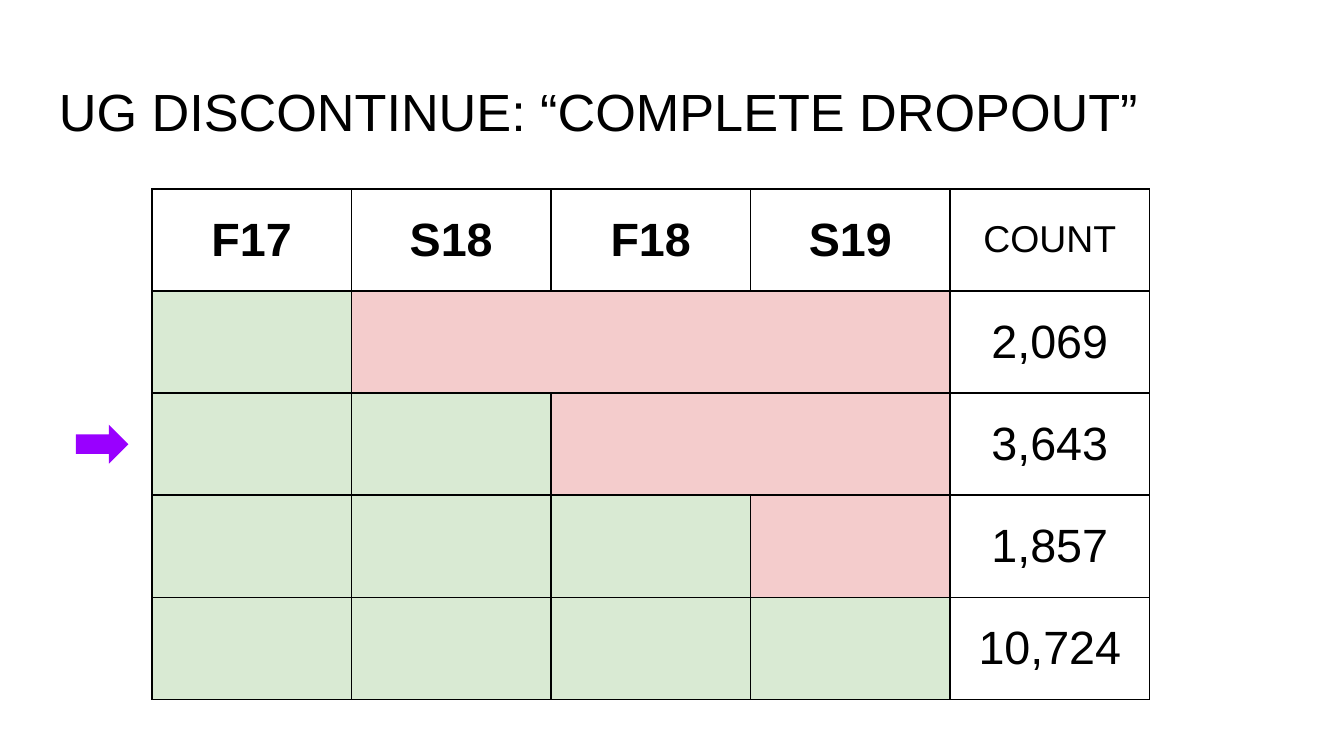
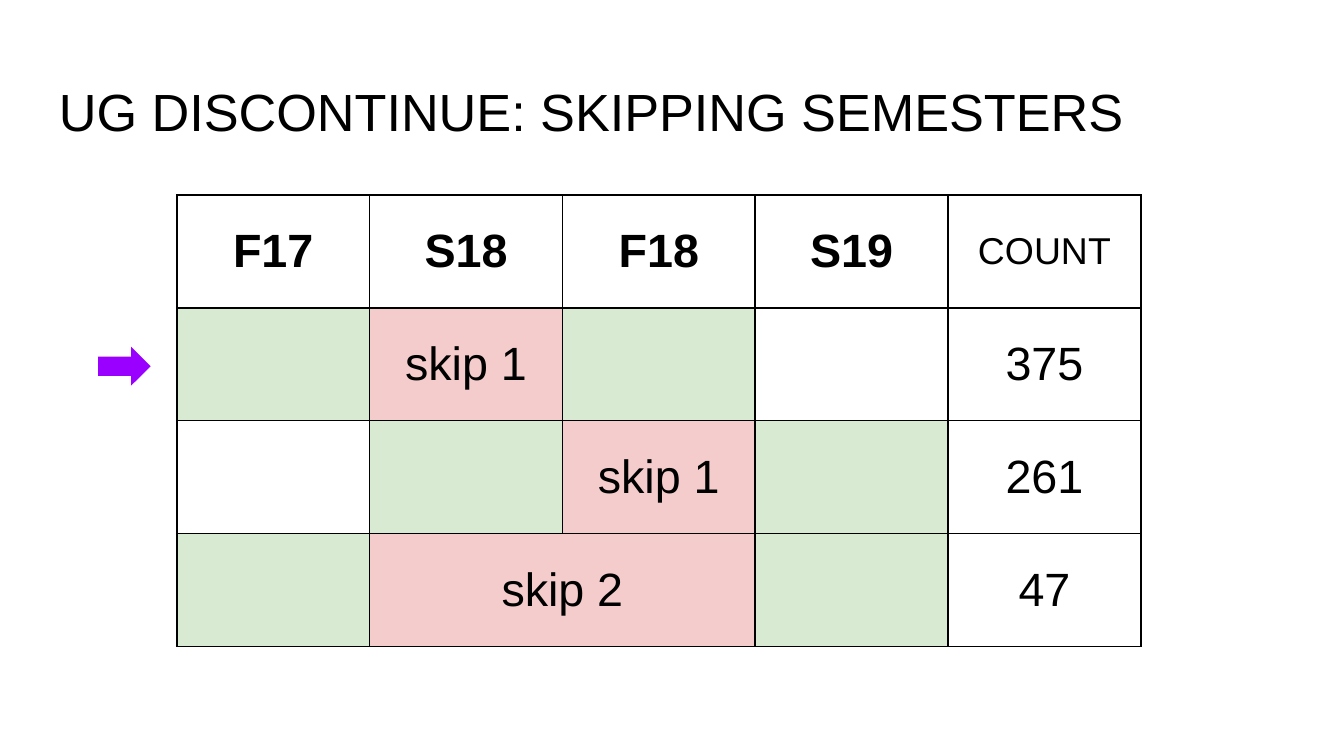
from itertools import groupby

from lxml import etree
from pptx import Presentation
from pptx import util as u
from pptx.dml.color import RGBColor
from pptx.enum import shapes, text
from pptx.oxml.ns import qn

PX = 4572  # 200 px to the inch
FONT = "Arial"
COLORS = {"ink": "000000", "enrolled": "D9EAD3", "away": "F4CCCC", "marker": "9900FF"}
STATUS = {"E": "enrolled", "A": "away"}  # "-" leaves a cell unfilled
SEMESTERS = ["F17", "S18", "F18", "S19"]

# Each row: status per semester, label of the away block, count
SLIDES = [
    {
        "title": "UG DISCONTINUE: “COMPLETE DROPOUT”",
        "table_at": (226, 281), "cell": (297, 152), "marker_at": (123, 622),
        "rows": [("EAAA", "", "2,069"), ("EEAA", "", "3,643"),
                 ("EEEA", "", "1,857"), ("EEEE", "", "10,724")],
    },
    {
        "title": "UG DISCONTINUE: SKIPPING SEMESTERS",
        "table_at": (263, 290), "cell": (287, 168), "marker_at": (156, 506),
        "rows": [("EAE-", "skip 1", "375"), ("-EAE", "skip 1", "261"),
                 ("EAAE", "skip 2", "47")],
    },
]


def write(frame, words, size, bold=False, align=text.PP_ALIGN.CENTER):
    frame.text = words
    line = frame.paragraphs[0]
    line.alignment = align
    for run in line.runs:
        run.font.name = FONT
        run.font.size = u.Pt(size)
        run.font.bold = bold
        run.font.color.rgb = RGBColor.from_string(COLORS["ink"])


def outline(cell):
    props = cell._tc.get_or_add_tcPr()
    for position, side in enumerate(("lnL", "lnR", "lnT", "lnB")):
        edge = etree.Element(qn("a:" + side), w=str(u.Pt(1)))
        fill = etree.SubElement(edge, qn("a:solidFill"))
        etree.SubElement(fill, qn("a:srgbClr"), val=COLORS["ink"])
        props.insert(position, edge)


deck = Presentation()
deck.slide_width, deck.slide_height = 2000 * PX, 1125 * PX

for content in SLIDES:
    slide = deck.slides.add_slide(deck.slide_layouts[6])

    # Title
    title = slide.shapes.add_textbox(68 * PX, 98 * PX, 1864 * PX, 126 * PX).text_frame
    title.word_wrap = True
    title.margin_left = title.margin_right = 20 * PX
    title.margin_top = title.margin_bottom = 20 * PX
    write(title, content["title"], 28, align=text.PP_ALIGN.LEFT)

    # Enrolment grid
    left, top = content["table_at"]
    width, height = content["cell"]
    rows = content["rows"]
    n_rows, n_cols = len(rows) + 1, len(SEMESTERS) + 1
    grid = slide.shapes.add_table(n_rows, n_cols, left * PX, top * PX,
                                  n_cols * width * PX, n_rows * height * PX).table
    grid.first_row = grid.horz_banding = False
    for cell in grid.iter_cells():
        cell.fill.background()
        cell.vertical_anchor = text.MSO_ANCHOR.MIDDLE
        cell.margin_left = cell.margin_right = 14 * PX
        cell.margin_top = cell.margin_bottom = 14 * PX
        outline(cell)

    # Header row
    for col, semester in enumerate(SEMESTERS):
        write(grid.cell(0, col).text_frame, semester, 25, bold=True)
    write(grid.cell(0, n_cols - 1).text_frame, "COUNT", 20)

    # Status cells, with neighbouring away semesters merged
    for row, (statuses, label, count) in enumerate(rows, start=1):
        for status, block in groupby(range(len(statuses)), key=lambda i: statuses[i]):
            cols = list(block)
            if status in STATUS:
                for col in cols:
                    fill = grid.cell(row, col).fill
                    fill.solid()
                    fill.fore_color.rgb = RGBColor.from_string(COLORS[STATUS[status]])
            if status == "A":
                first = grid.cell(row, cols[0])
                if len(cols) > 1:
                    first.merge(grid.cell(row, cols[-1]))
                if label:
                    write(first.text_frame, label, 25)
        write(grid.cell(row, n_cols - 1).text_frame, count, 25)

    # Arrow marking the highlighted row
    x, y = content["marker_at"]
    marker = slide.shapes.add_shape(shapes.MSO_SHAPE.DOWN_ARROW,
                                    x * PX, y * PX, 58 * PX, 78 * PX)
    marker.rotation = 270
    marker.shadow.inherit = False
    marker.fill.solid()
    marker.fill.fore_color.rgb = RGBColor.from_string(COLORS["marker"])
    marker.line.fill.background()

deck.save("out.pptx")
